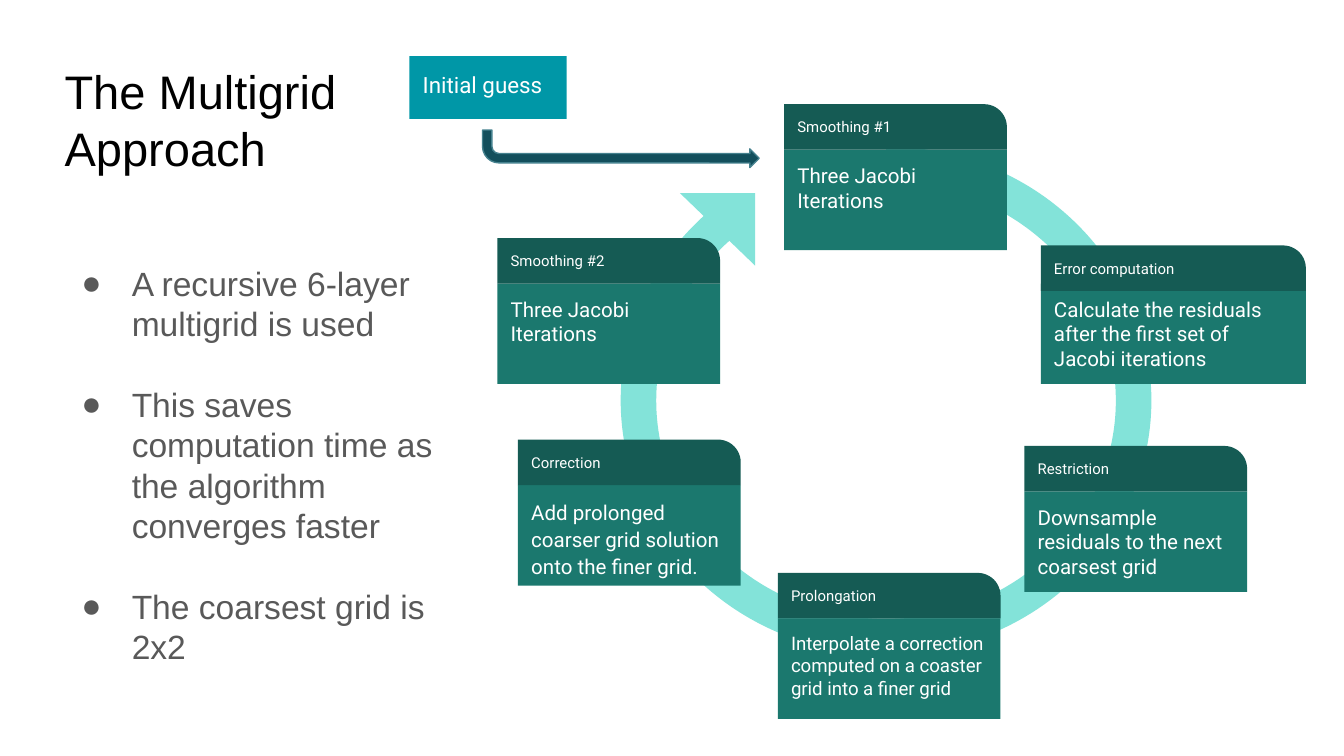
import dataclasses

import lxml.etree
import pptx
import pptx.dml.color
import pptx.enum.shapes
import pptx.enum.text
import pptx.oxml.ns
import pptx.util

Cm = pptx.util.Cm
Pt = pptx.util.Pt
SHAPE = pptx.enum.shapes.MSO_SHAPE
ANCHOR = pptx.enum.text.MSO_ANCHOR
qn = pptx.oxml.ns.qn


@dataclasses.dataclass(frozen=True)
class Theme:
    """Colours, fonts and type sizes."""
    title_color: str = "000000"
    list_color: str = "595959"
    light: str = "FFFFFF"
    start: str = "0097A7"
    cycle: str = "83E3D9"
    card: str = "1B786E"
    card_header: str = "155B54"
    arrow: str = "134F5C"
    arrow_line: str = "45818E"
    plain_font: str = "Arial"
    card_font: str = "Roboto"
    title_size: float = 25.2
    list_size: float = 18
    start_size: float = 12
    card_size: float = 11
    header_size: float = 8


def rgb(color):
    return pptx.dml.color.RGBColor.from_string(color)


class SlideBuilder:
    HEADER_HEIGHT = 0.86
    BODY_HEIGHT = 1.9

    def __init__(self, slide, theme):
        self.slide = slide
        self.theme = theme

    def add_text(self, box, lines, font, size, color, anchor=ANCHOR.TOP, spacing=1.0):
        """Set the frame and add one paragraph per line."""
        frame = box.text_frame
        frame.word_wrap = True
        frame.auto_size = pptx.enum.text.MSO_AUTO_SIZE.NONE
        frame.vertical_anchor = anchor
        frame.margin_left = frame.margin_right = Cm(0.25)
        frame.margin_top = frame.margin_bottom = Cm(0.25)
        for index, line in enumerate(lines):
            para = frame.add_paragraph() if index else frame.paragraphs[0]
            para.alignment = pptx.enum.text.PP_ALIGN.LEFT
            para.line_spacing = spacing
            para.space_before = para.space_after = Pt(0)
            span = para.add_run()
            span.text = line
            span.font.name = font
            span.font.size = Pt(size)
            span.font.color.rgb = rgb(color)
        return frame.paragraphs

    def place(self, box, left, top, width, height):
        box.left, box.top = Cm(left), Cm(top)
        box.width, box.height = Cm(width), Cm(height)

    def title(self, lines, *area):
        box = self.slide.shapes.title
        self.place(box, *area)
        theme = self.theme
        self.add_text(box, lines, theme.plain_font, theme.title_size, theme.title_color)

    def bullets(self, items, *area):
        box = self.slide.placeholders[1]
        self.place(box, *area)
        theme = self.theme
        paras = self.add_text(box, items, theme.plain_font, theme.list_size,
                              theme.list_color)
        for index, para in enumerate(paras):
            if index:
                para.space_before = Pt(theme.list_size * 1.2)
            props = para._p.get_or_add_pPr()
            props.set("marL", str(Cm(1.27)))
            props.set("indent", str(Cm(-0.95)))
            color = lxml.etree.SubElement(props, qn("a:buClr"))
            lxml.etree.SubElement(color, qn("a:srgbClr"), val=theme.list_color)
            lxml.etree.SubElement(props, qn("a:buFont"), typeface=theme.plain_font)
            lxml.etree.SubElement(props, qn("a:buChar"), char="●")

    def shape(self, kind, fill, left, top, width, height, adjust=(), line=None):
        shape = self.slide.shapes.add_shape(kind, Cm(left), Cm(top), Cm(width), Cm(height))
        shape.shadow.inherit = False
        shape.fill.solid()
        shape.fill.fore_color.rgb = rgb(fill)
        if line:
            shape.line.color.rgb = rgb(line)
            shape.line.width = Pt(0.75)
        else:
            shape.line.fill.background()
        for index, value in enumerate(adjust):
            shape.adjustments[index] = value
        return shape

    def start_box(self, text, *area):
        theme = self.theme
        box = self.shape(SHAPE.RECTANGLE, theme.start, *area)
        paras = self.add_text(box, [text], theme.card_font, theme.start_size,
                              theme.light, spacing=1.08)
        paras[0].space_after = Pt(8)

    def cycle(self):
        """Open ring that ends in a triangular arrowhead."""
        color = self.theme.cycle
        ring = self.shape(SHAPE.BLOCK_ARC, color, 11.73, 2.77, 10.03, 9.6,
                          adjust=(54, 30.13, 0.07))
        head = self.shape(SHAPE.RIGHT_TRIANGLE, color, 12.85, 3.65, 1.42, 1.37)
        ring.rotation = head.rotation = 180

    def card(self, heading, text, left, top, width=4.21, size=None,
             offset=HEADER_HEIGHT, spacing=1.0):
        theme = self.theme
        body = self.shape(SHAPE.RECTANGLE, theme.card, left, top + offset,
                          width, self.BODY_HEIGHT)
        self.add_text(body, [text], theme.card_font, size or theme.card_size,
                      theme.light, spacing=spacing)
        header = self.shape(SHAPE.ROUND_1_RECTANGLE, theme.card_header, left, top,
                            width, self.HEADER_HEIGHT, adjust=(0.5,))
        self.add_text(header, [heading], theme.card_font, theme.header_size,
                      theme.light, anchor=ANCHOR.MIDDLE)

    def entry_arrow(self, *area):
        """Bent arrow that runs down and then right."""
        arrow = self.shape(SHAPE.BENT_ARROW, self.theme.arrow, *area,
                           adjust=(0.25, 0.25, 0.25, 0.44), line=self.theme.arrow_line)
        arrow._element.spPr.xfrm.set("flipV", "1")


def main():
    deck = pptx.Presentation()
    deck.slide_width, deck.slide_height = Cm(25.4), Cm(14.29)
    page = SlideBuilder(deck.slides.add_slide(deck.slide_layouts[1]), Theme())

    # Title and starting point
    page.title(["The Multigrid", "Approach"], 0.97, 0.94, 5.84, 3.15)
    page.start_box("Initial guess", 7.74, 1.06, 2.97, 1.19)

    # Cycle of steps
    page.cycle()
    page.card("Smoothing #1", "Three Jacobi Iterations", 14.82, 1.97)
    page.card("Smoothing #2", "Three Jacobi Iterations", 9.4, 4.5)
    page.card("Prolongation",
              "Interpolate a correction computed on a coaster grid into a finer grid",
              14.7, 10.83, size=10)
    page.card("Correction", "Add prolonged coarser grid solution onto the finer grid.",
              9.79, 8.31, spacing=1.08)
    page.card("Restriction", "Downsample residuals to the next coarsest grid",
              19.36, 8.43)
    page.card("Error computation",
              "Calculate the residuals after the first set of Jacobi iterations",
              19.67, 4.64, width=5.01, offset=0.72)
    page.entry_arrow(9.12, 2.46, 5.23, 0.71)

    # Key points
    page.bullets(["A recursive 6-layer multigrid is used",
                  "This saves computation time as the algorithm converges faster",
                  "The coarsest grid is 2x2"], 0.97, 4.72, 7.54, 8.2)

    deck.save("out.pptx")


if __name__ == "__main__":
    main()
